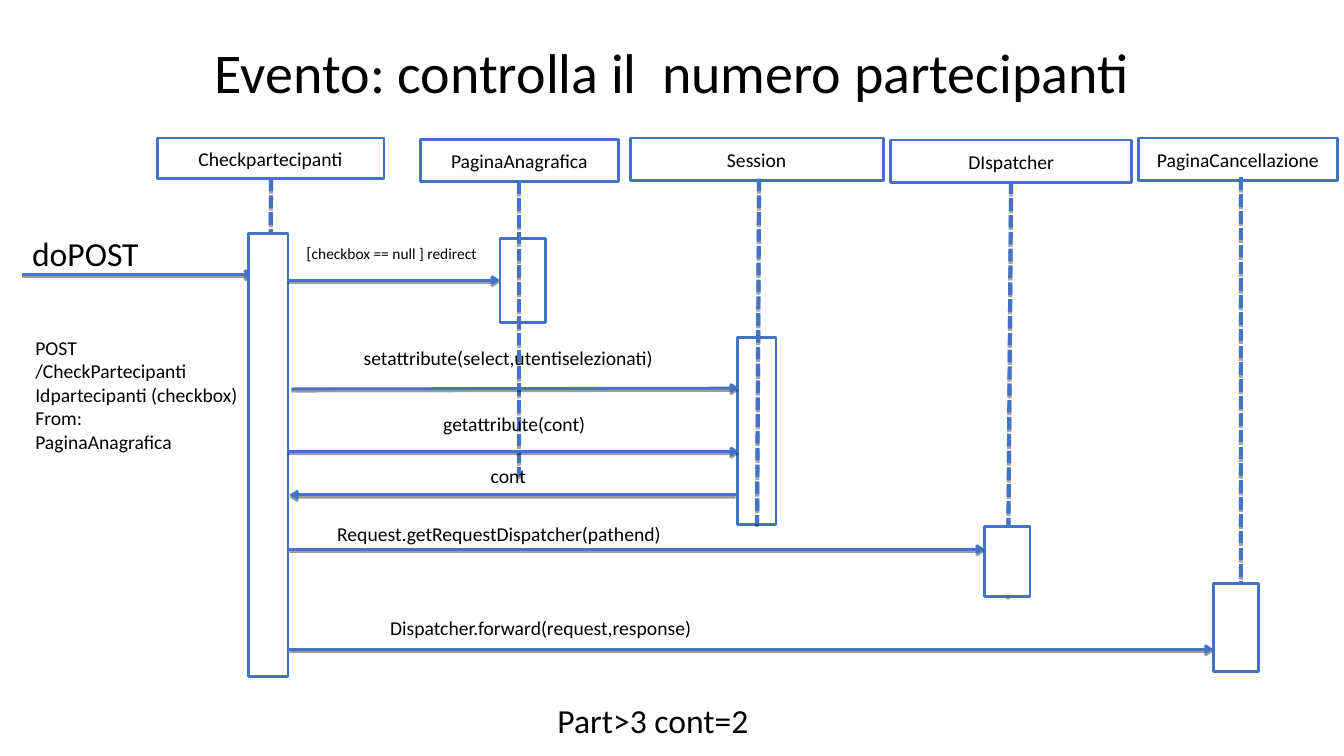
import pptx
import pptx.dml.color
import pptx.enum.dml
import pptx.enum.shapes
import pptx.enum.text
import pptx.oxml
import pptx.oxml.ns
import pptx.util
import lxml.etree

Cm = pptx.util.Cm
ALIGN = pptx.enum.text.PP_ALIGN
ANCHOR = pptx.enum.text.MSO_ANCHOR
BLUE, WHITE, BLACK = "4472C4", "FFFFFF", "000000"

TITLE = "Evento: controlla il  numero partecipanti"
PARTICIPANTS = [
    {"name": "Checkpartecipanti", "head": (3.96, 3.48, 5.72, 1.02),
     "lifeline": (6.83, 4.5, 6.76, 16.56), "bar": (6.27, 5.89, 0.99, 11.15), "line_on_top": False},
    {"name": "PaginaAnagrafica", "head": (10.59, 3.51, 5, 1.07),
     "lifeline": (13.08, 4.57, 13.08, 12.01), "bar": (12.6, 6.02, 1.14, 2.11), "line_on_top": True},
    {"name": "Session", "head": (15.88, 3.48, 6.38, 1.07),
     "lifeline": (19.13, 4.5, 19.08, 13.21), "bar": (18.59, 8.51, 0.97, 4.7), "line_on_top": True},
    {"name": "DIspatcher", "head": (22.45, 3.53, 6.07, 1.07),
     "lifeline": (25.48, 4.57, 25.4, 15.04), "bar": (24.82, 13.26, 1.14, 1.78), "line_on_top": False},
    {"name": "PaginaCancellazione", "head": (28.7, 3.48, 5, 1.07),
     "lifeline": (31.27, 4.47, 31.27, 15.9), "bar": (30.58, 14.71, 1.14, 2.21), "line_on_top": False},
]
POST_ARROW = (0.56, 6.91, 6.38, 6.91)
MESSAGES = [
    ((7.24, 7.06, 12.6, 7.06), (6.43, 5.94, 6.88, 0.94), [("[", 12), ("checkbox == null ] redirect", 11)]),
    ((7.34, 9.8, 18.62, 9.78), (7.77, 8.53, 10.08, 0.94), [("setattribute(select,utentiselezionati)", 14)]),
    ((7.24, 11.38, 18.62, 11.38), (7.92, 10.19, 10.08, 0.94), [("getattribute(cont)", 14)]),
    ((18.54, 12.47, 7.29, 12.47), (7.77, 11.51, 10.08, 0.94), [("cont", 14)]),
    ((7.29, 13.84, 24.82, 13.84), (7.54, 12.98, 10.08, 0.94), [("Request.getRequestDispatcher(pathend)", 14)]),
    ((7.29, 16.36, 30.58, 16.36), (8.59, 15.34, 10.08, 0.94), [("Dispatcher.forward(request,response)", 14)]),
]
NOTES = [
    ((0.48, 5.69, 3.4, 1.02), ["doPOST"], 24),
    ((0.56, 8.28, 6.53, 5.74),
     ["POST", "/CheckPartecipanti", "Idpartecipanti (checkbox)", "From:", "PaginaAnagrafica"], 14),
    ((13.72, 17.45, 6.65, 1.09), ["Part>3 cont=2"], 24),
]


def color(value):
    return pptx.dml.color.RGBColor.from_string(value)


def write(frame, lines, align, anchor):
    frame.word_wrap = True
    frame.vertical_anchor = anchor
    frame.margin_left = frame.margin_right = Cm(0.33)
    frame.margin_top = frame.margin_bottom = Cm(0.18)
    for index, spans in enumerate(lines):
        para = frame.add_paragraph() if index else frame.paragraphs[0]
        para.alignment = align
        for text, size in spans:
            span = para.add_run()
            span.text = text
            span.font.size = pptx.util.Pt(size)
            span.font.name = "Calibri"
            span.font.color.rgb = color(BLACK)


def add_label(page, place, lines, align):
    box = page.shapes.add_textbox(*map(Cm, place))
    write(box.text_frame, lines, align, ANCHOR.TOP)


def add_box(page, place, name=None):
    box = page.shapes.add_shape(pptx.enum.shapes.MSO_SHAPE.RECTANGLE, *map(Cm, place))
    box.shadow.inherit = False
    box.fill.solid()
    box.fill.fore_color.rgb = color(WHITE)
    box.line.color.rgb = color(BLUE)
    box.line.width = pptx.util.Pt(2)
    if name:
        write(box.text_frame, [[(name, 14)]], ALIGN.CENTER, ANCHOR.MIDDLE)


def add_line(page, ends, width, opacity, distance):
    line = page.shapes.add_connector(pptx.enum.shapes.MSO_CONNECTOR.STRAIGHT, *map(Cm, ends))
    line.line.color.rgb = color(BLUE)
    line.line.width = pptx.util.Pt(width)
    line._element.spPr.append(pptx.oxml.parse_xml(
        f'<a:effectLst {pptx.oxml.ns.nsdecls("a")}>'
        f'<a:outerShdw blurRad="0" dist="{pptx.util.Pt(distance)}" dir="5400000" rotWithShape="0">'
        f'<a:srgbClr val="{BLACK}"><a:alpha val="{opacity * 1000}"/></a:srgbClr>'
        '</a:outerShdw></a:effectLst>'))
    return line


def add_arrow(page, ends):
    arrow = add_line(page, ends, 2, 38, 1.6)
    outline = arrow.line._get_or_add_ln()
    lxml.etree.SubElement(outline, pptx.oxml.ns.qn("a:tailEnd"), type="arrow")


def add_lifeline(page, ends):
    lifeline = add_line(page, ends, 3, 35, 1.8)
    lifeline.line.dash_style = pptx.enum.dml.MSO_LINE.SQUARE_DOT


def add_participant(page, participant):
    add_box(page, participant["head"], participant["name"])
    if participant["line_on_top"]:
        add_box(page, participant["bar"])
        add_lifeline(page, participant["lifeline"])
    else:
        add_lifeline(page, participant["lifeline"])
        add_box(page, participant["bar"])


def main():
    deck = pptx.Presentation()
    deck.slide_width, deck.slide_height = Cm(33.87), Cm(19.05)
    page = deck.slides.add_slide(deck.slide_layouts[5])
    title = page.shapes.title
    title.left, title.top, title.width, title.height = map(Cm, (1.69, 0.2, 30.48, 3.18))
    write(title.text_frame, [[(TITLE, 40)]], ALIGN.CENTER, ANCHOR.MIDDLE)

    add_arrow(page, POST_ARROW)
    for participant in PARTICIPANTS:
        add_participant(page, participant)
    for ends, place, spans in MESSAGES:
        add_arrow(page, ends)
        add_label(page, place, [spans], ALIGN.CENTER)
    for place, lines, size in NOTES:
        add_label(page, place, [[(text, size)] for text in lines], ALIGN.LEFT)
    deck.save("out.pptx")


if __name__ == "__main__":
    main()
